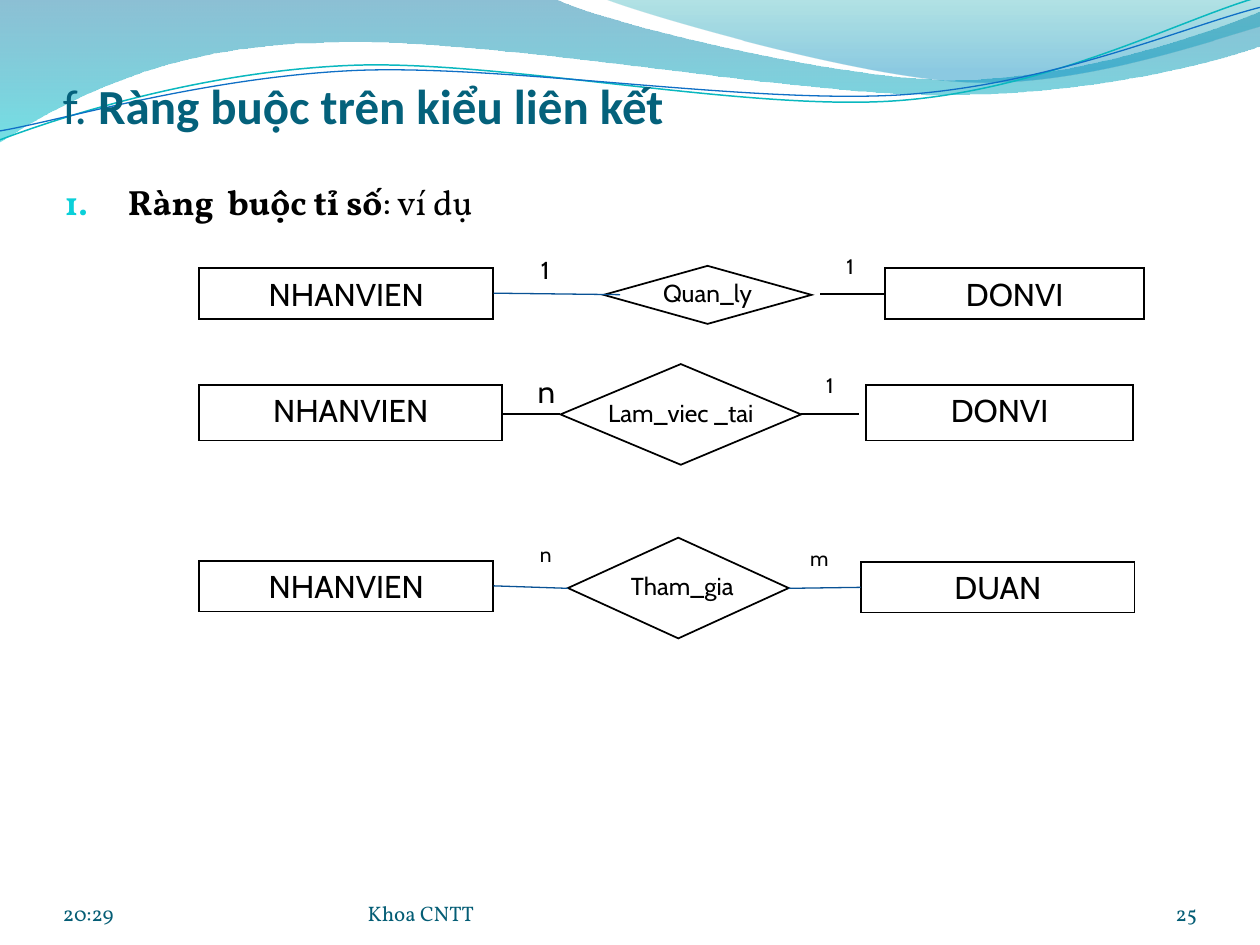
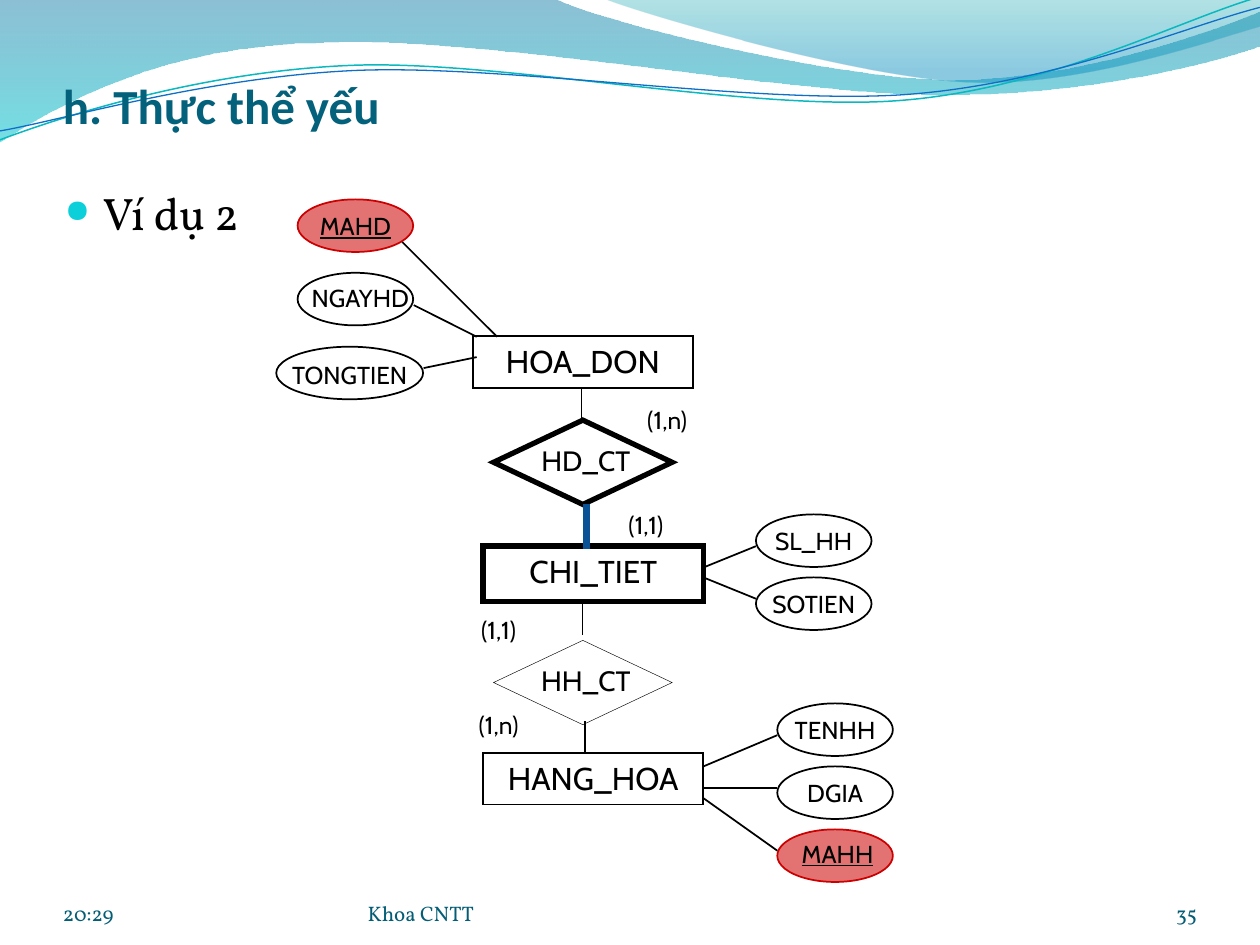
import pptx
import pptx.dml.color
import pptx.enum.shapes
import pptx.enum.text
import pptx.oxml
import pptx.oxml.ns
import pptx.util
from pptx.util import Cm

COLORS = {
    "ink": "000000", "title": "04617B", "footer": "045D75", "bullet": "0BD0D9",
    "key": "CC0000", "link": "095295", "teal wave": "0AB8BF", "blue wave": "0F6FC6",
    "band top": "0074A1", "band bottom": "00C6CF",
    "corner top": "00A1A9", "corner bottom": "008BBF",
}
HEADING, BODY, DIAGRAM = "Calibri", "Vollkorn", "Cabin"
SHAPES = pptx.enum.shapes.MSO_SHAPE
ALIGN = pptx.enum.text.PP_ALIGN
ANCHOR = pptx.enum.text.MSO_ANCHOR

# Outlines in cm: one pair is a straight step, three pairs are a Bézier step
BAND = [[(0, -0.03)], [(11.18, -0.03)],
        [(12.09, 0.43), (16.87, 1.6), (19.25, 1.6)],
        [(21.67, 1.6), (24.33, 0.66), (25.4, 0.23)], [(25.43, 0.91)],
        [(24.97, 1.12), (22.1, 1.93), (18.95, 1.91)],
        [(15.8, 1.91), (9.7, 0.71), (6.53, 0.86)],
        [(3.28, 0.89), (1.17, 2.11), (-0.03, 2.87)], [(0, -0.03)]]
CORNER = [[(12.17, -0.03)], [(12.93, 0.28), (17.32, 1.57), (19.53, 1.65)],
          [(21.74, 1.75), (24.41, 0.81), (25.4, 0.53)], [(25.4, 0)], [(12.17, -0.03)]]
TEAL_WAVE = [[(0, 2.82)], [(1.22, 2.36), (4.01, 1.45), (7.04, 1.32)],
             [(10.03, 1.19), (15.06, 2.26), (18.11, 2.03)],
             [(21.16, 1.8), (23.83, 0.38), (25.35, -0.05)]]
BLUE_WAVE = [[(0, 2.64)], [(1.19, 2.44), (4.17, 1.55), (7.19, 1.42)],
             [(10.24, 1.3), (15.16, 2.11), (18.21, 1.91)],
             [(21.23, 1.7), (23.9, 0.53), (25.4, 0.15)]]


def rgb(name):
    return pptx.dml.color.RGBColor.from_string(COLORS[name])


def xml(markup):
    """Parse one drawing element written without its namespace."""
    tag, rest = markup[1:].split(" ", 1)
    return pptx.oxml.parse_xml(f"<{tag} {pptx.oxml.ns.nsdecls('a')} {rest}")


def set_alpha(color_parent, percent):
    color_parent.append(xml(f'<a:alpha val="{percent * 1000}"/>'))


def style_run(run, size, font, color, bold=False, underline=False):
    run.font.size = pptx.util.Pt(size)
    run.font.name = font
    run.font.color.rgb = rgb(color)
    run.font.bold = bold
    run.font.underline = underline or None


def add_text(slide, box, runs, size, font, color="ink", align=ALIGN.LEFT,
             anchor=ANCHOR.TOP, insets=None, underline=False):
    """Add one paragraph; runs holds (text, bold) pairs."""
    text_box = slide.shapes.add_textbox(*map(Cm, box))
    frame = text_box.text_frame
    frame.word_wrap = True
    frame.vertical_anchor = anchor
    if insets:
        (frame.margin_left, frame.margin_top,
         frame.margin_right, frame.margin_bottom) = map(Cm, insets)
    paragraph = frame.paragraphs[0]
    paragraph.alignment = align
    for text, bold in runs:
        run = paragraph.add_run()
        run.text = text
        style_run(run, size, font, color, bold, underline)
    return paragraph


# Slide frame
def add_outline(slide, steps, closed):
    """Lay every point as a corner, then join each group of three into a curve."""
    points = [(Cm(x), Cm(y)) for step in steps for x, y in step]
    builder = slide.shapes.build_freeform(*points[0], scale=1.0)
    builder.add_line_segments(points[1:], close=closed)
    shape = builder.convert_to_shape()
    shape.shadow.inherit = False
    corners = iter(list(shape._element.iter(pptx.oxml.ns.qn("a:lnTo"))))
    for step in steps[1:]:
        group = [next(corners) for _ in step]
        if len(group) == 3:
            curve = xml("<a:cubicBezTo />")
            group[0].addprevious(curve)
            for corner in group:
                curve.append(corner[0])
                corner.getparent().remove(corner)
    return shape


def add_band(slide, steps, stops):
    shape = add_outline(slide, steps, True)
    shape.line.fill.background()
    shape.fill.gradient()
    gradient = shape.fill._fill._gradFill
    for stop, (color, position, alpha) in zip(shape.fill.gradient_stops, stops):
        stop.color.rgb = rgb(color)
        stop.position = position
    for color, (_, _, alpha) in zip(gradient.iter(pptx.oxml.ns.qn("a:srgbClr")), stops):
        set_alpha(color, alpha)
    gradient.find(pptx.oxml.ns.qn("a:lin")).set("ang", "5400000")


def add_wave(slide, steps, color, width):
    shape = add_outline(slide, steps, False)
    shape.fill.background()
    shape.line.color.rgb = rgb(color)
    shape.line.width = pptx.util.Pt(width)


def add_frame(presentation, title_runs, number):
    slide = presentation.slides.add_slide(presentation.slide_layouts[6])
    add_band(slide, BAND, [("band top", 0, 45), ("band bottom", 1, 55)])
    add_band(slide, CORNER, [("corner top", 0, 30), ("corner bottom", 0.8, 45)])
    add_wave(slide, TEAL_WAVE, "teal wave", 0.85)
    add_wave(slide, BLUE_WAVE, "blue wave", 0.75)
    add_text(slide, (1.27, 0.98, 22.86, 1.73), title_runs, 28, HEADING, "title",
             anchor=ANCHOR.BOTTOM, insets=(0, 0.13, 0, 0))
    for text, left, width, align in [("20:29", 1.27, 5.92, ALIGN.LEFT),
                                     ("Khoa CNTT", 7.41, 9.32, ALIGN.LEFT),
                                     (number, 22.02, 2.11, ALIGN.RIGHT)]:
        add_text(slide, (left, 17.65, width, 1.02), [(text, False)], 12, BODY,
                 "footer", align, ANCHOR.BOTTOM, (0, 0, 0, 0))
    return slide


def add_body(slide, width, runs, size, indent, bullet, bullet_percent):
    paragraph = add_text(slide, (1.06, 3.61, width, 14.17), runs, size, BODY)
    properties = paragraph._p.get_or_add_pPr()
    properties.set("marL", str(Cm(indent)))
    properties.set("indent", str(-Cm(indent)))
    for markup in (f'<a:buClr ><a:srgbClr val="{COLORS["bullet"]}"/></a:buClr>',
                   f'<a:buSzPct val="{bullet_percent * 1000}"/>', bullet):
        properties.append(xml(markup))
    return paragraph


# Diagram parts
def add_outlined(slide, kind, box, width=1, line="ink"):
    shape = slide.shapes.add_shape(kind, *map(Cm, box))
    shape.shadow.inherit = False
    shape.fill.background()
    shape.line.color.rgb = rgb(line)
    shape.line.width = pptx.util.Pt(width)
    shape.line._get_or_add_ln().append(xml('<a:miter lim="800000"/>'))
    return shape


def add_label(slide, left, top, width, text, size, underline=False):
    add_text(slide, (left, top, width, label_height(size)), [(text, False)], size,
             DIAGRAM, align=ALIGN.CENTER, underline=underline)


def label_height(size):
    return 0.28 + 0.04 * size


def add_caption(slide, box, text, size, shift, extra=0, underline=False):
    """Centre a label on a shape's box, then move it by shift."""
    left, top, width, height = box
    add_label(slide, left + shift[0] - extra / 2,
              top + shift[1] + (height - label_height(size)) / 2,
              width + extra, text, size, underline)


def add_entity(slide, box, name, width=1):
    frame = add_outlined(slide, SHAPES.RECTANGLE, box, width).text_frame
    frame.text = name
    frame.word_wrap = True
    frame.vertical_anchor = ANCHOR.TOP
    paragraph = frame.paragraphs[0]
    paragraph.alignment = ALIGN.CENTER
    style_run(paragraph.runs[0], 18, DIAGRAM, "ink")


def add_relationship(slide, box, name, size, width=1, shift=0):
    add_outlined(slide, SHAPES.FLOWCHART_DECISION, box, width)
    add_caption(slide, box, name, size, (shift, -0.04))


def add_attribute(slide, box, name, is_key, shift):
    ellipse = add_outlined(slide, SHAPES.OVAL, box, 1, "key" if is_key else "ink")
    if is_key:
        ellipse.fill.solid()
        ellipse.fill.fore_color.rgb = rgb("key")
        fill = ellipse._element.spPr.find(pptx.oxml.ns.qn("a:solidFill"))
        set_alpha(fill[0], 55)
    add_caption(slide, box, name, 14, shift, 2 * shift[0], is_key)


def add_link(slide, left, top, ends, color="ink", width=1.0):
    x1, y1, x2, y2 = ends
    connector = slide.shapes.add_connector(
        pptx.enum.shapes.MSO_CONNECTOR.STRAIGHT,
        Cm(left + x1), Cm(top + y1), Cm(left + x2), Cm(top + y2))
    connector.line.color.rgb = rgb(color)
    connector.line.width = pptx.util.Pt(width)
    connector._element.spPr.append(xml("<a:effectLst />"))


def add_relation_row(slide, left, top, row):
    """Two entities joined through a diamond; offsets start at the left entity."""
    (name, width), (other, x, y, other_width) = row["entities"]
    add_entity(slide, (left, top, width, row["height"]), name)
    add_entity(slide, (left + x, top + y, other_width, row["height"]), other)
    text, x, y, width, height, shift = row["diamond"]
    add_relationship(slide, (left + x, top + y, width, height), text, 14, shift=shift)
    for color, ends in row["links"]:
        add_link(slide, left, top, ends, color, 1 if color == "ink" else 0.75)
    for text, x, y, width, size in row["ratios"]:
        add_label(slide, left + x, top + y, width, text, size)


ROWS = [
    (5.41, {"height": 1.02,
            "entities": [("NHANVIEN", 5.92), ("DONVI", 13.82, 0, 5.23)],
            "diamond": ("Quan_ly", 8.15, -0.05, 4.19, 1.17, 0),
            "links": [("link", (5.93, 0.5, 8.48, 0.53)),
                      ("ink", (12.52, 0.52, 13.82, 0.52))],
            "ratios": [("1", 6.31, -0.4, 1.32, 14), ("1", 12.7, -0.43, 0.84, 12)]}),
    (7.76, {"height": 1.12,
            "entities": [("NHANVIEN", 6.1), ("DONVI", 13.44, 0, 5.38)],
            "diamond": ("Lam_viec _tai", 7.28, -0.42, 4.85, 2.03, 0),
            "links": [("ink", (6.1, 0.58, 7.26, 0.58)),
                      ("ink", (12.12, 0.58, 13.3, 0.58))],
            "ratios": [("n", 6.57, -0.39, 0.64, 18), ("1", 12.29, -0.38, 0.84, 12)]}),
    (11.31, {"height": 1.02,
             "entities": [("NHANVIEN", 5.92), ("DUAN", 13.34, 0.02, 5.51)],
             "diamond": ("Tham_gia", 7.43, -0.47, 4.45, 2.03, 0.08),
             "links": [("link", (5.93, 0.5, 7.43, 0.55)),
                       ("link", (11.88, 0.55, 13.33, 0.53))],
             "ratios": [("n", 6.56, -0.51, 0.84, 12), ("m", 12.06, -0.44, 0.84, 12)]}),
]

# Name, left, top, width, key, caption shift, link ends
ATTRIBUTES = [
    ("MAHD", 0.43, 0, 2.33, True, (0, 0), (4.45, 2.77, 2.54, 0.86)),
    ("NGAYHD", 0.43, 1.48, 2.33, False, (0.1, -0.02), (4.04, 2.77, 2.77, 2.13)),
    ("TONGTIEN", 0, 2.97, 2.96, False, (0, 0.04), (4.04, 3.18, 2.97, 3.4)),
    ("SL_HH", 9.67, 6.35, 2.33, False, (0, 0), (8.61, 7.42, 9.67, 6.99)),
    ("SOTIEN", 9.67, 7.62, 2.33, False, (0, 0), (8.61, 7.62, 9.67, 8.05)),
    ("TENHH", 10.1, 10.16, 2.33, False, (0, 0), (8.61, 11.43, 10.1, 10.8)),
    ("DGIA", 10.1, 11.43, 2.33, False, (0, 0), (8.61, 11.86, 10.1, 11.86)),
    ("MAHH", 10.1, 12.7, 2.33, True, (0.05, -0.05), (8.61, 12.07, 10.1, 13.13)),
]


def add_invoice_diagram(slide, left, top):
    for name, x, y, height, width in [("HOA_DON", 3.96, 2.76, 1.04, 1),
                                      ("CHI_TIET", 4.17, 6.99, 1.12, 3),
                                      ("HANG_HOA", 4.17, 11.16, 1.04, 1)]:
        add_entity(slide, (left + x, top + y, 4.44, height), name, width)
    for name, y, width in [("HD_CT", 4.45, 3), ("HH_CT", 8.89, 0.25)]:
        add_relationship(slide, (left + 4.38, top + y, 3.6, 1.7), name, 16, width, 0.06)
    for name, x, y, width, is_key, shift, ends in ATTRIBUTES:
        add_attribute(slide, (left + x, top + y, width, 1.06), name, is_key, shift)
        add_link(slide, left, top, ends)
    for x, start, end in [(6.15, 3.81, 4.45), (6.17, 8.15, 8.79), (6.22, 10.52, 11.15)]:
        add_link(slide, left, top, (x, start, x, end))
    add_link(slide, left, top, (6.25, 6.15, 6.25, 7.04), "link", 4.25)
    for text, x, y in [("(1,n)", 6.93, 4.03), ("(1,1)", 6.5, 6.14),
                       ("(1,1)", 3.53, 8.26), ("(1,n)", 3.53, 10.16)]:
        add_label(slide, left + x, top + y, 1.9, text, 14)


def main():
    presentation = pptx.Presentation()
    presentation.slide_width, presentation.slide_height = Cm(25.4), Cm(19.05)

    # Ratio constraints
    slide = add_frame(presentation, [("f. ", False), ("Ràng buộc trên kiểu liên kết", True)], "25")
    paragraph = add_body(slide, 22.86, [("Ràng  buộc tỉ số", True), (": ví dụ", False)], 20,
                         1.27, '<a:buAutoNum type="arabicPeriod"/>', 95)
    paragraph.line_spacing = 0.9
    for top, row in ROWS:
        add_relation_row(slide, 4.02, top, row)

    # Weak entity
    slide = add_frame(presentation, [("h. Thực thể yếu", True)], "35")
    add_body(slide, 23.28, [("Ví dụ 2", False)], 26, 0.76, '<a:buChar char="●"/>', 70)
    add_invoice_diagram(slide, 5.57, 4.02)

    presentation.save("out.pptx")


if __name__ == "__main__":
    main()
